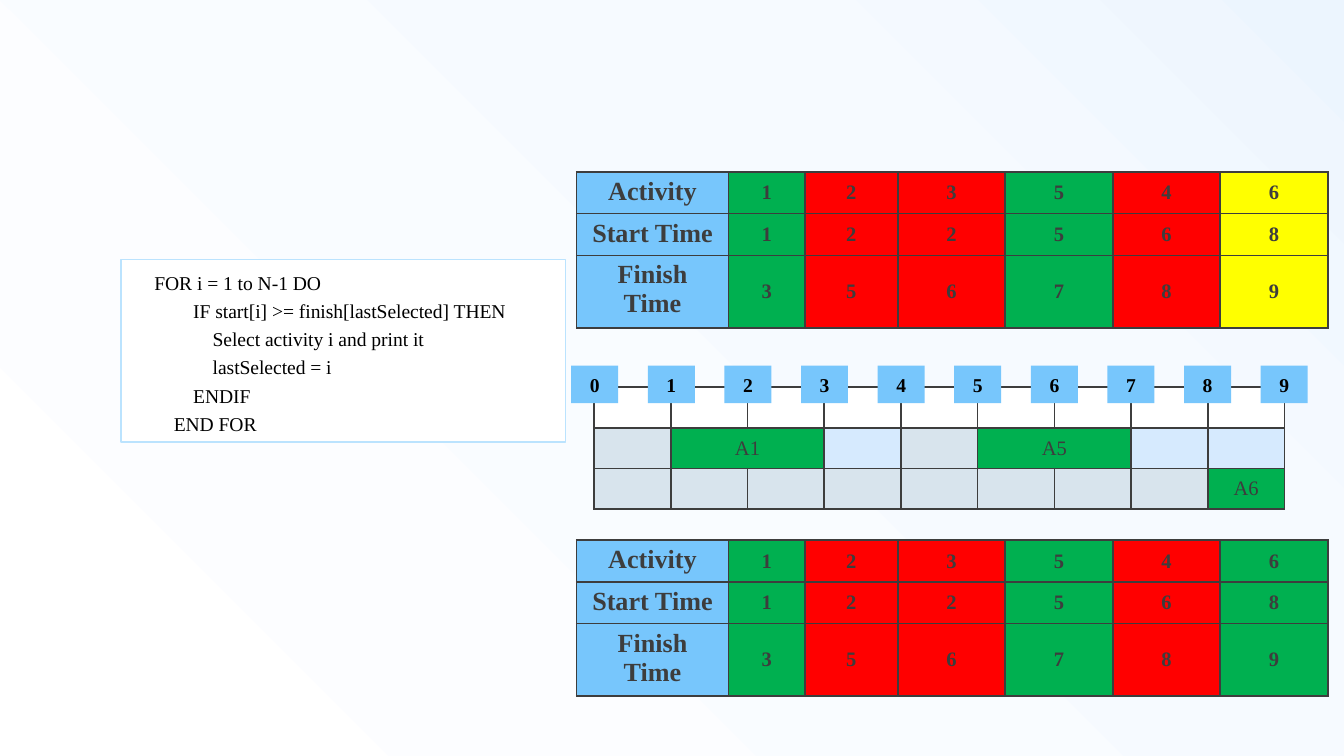
from lxml import etree
from pptx import Presentation
from pptx.dml.color import RGBColor
from pptx.enum import shapes, text
from pptx.oxml import parse_xml
from pptx.oxml.ns import nsdecls, qn
from pptx.util import Emu, Inches, Pt

INK = {"sky": "77C6FC", "green": "00B050", "red": "FF0000", "yellow": "FFFF00",
       "white": "FFFFFF", "black": "000000", "dark": "3D3D3D", "edge": "BBE3FE",
       "grey": "D8E4ED", "pale": "D6EAFE", "glow": "ECF5FE", "mist": "F6FAFF"}
FACE = "Times New Roman"
UNIT = Inches(0.1)  # the slide is a grid of 100 columns by 56.25 rows
COLS, ROWS = 100, 56.25

CODE = """FOR i = 1 to N-1 DO
        IF start[i] >= finish[lastSelected] THEN
            Select activity i and print it
            lastSelected = i
        ENDIF
    END FOR"""
JOBS = [["Activity", 1, 2, 3, 5, 4, 6],
        ["Start Time", 1, 2, 2, 5, 6, 8],
        ["Finish Time", 3, 5, 6, 7, 8, 9]]
SPANS = {(1, 1): ("A1", 2), (1, 5): ("A5", 2), (2, 8): ("A6", 1)}  # name, width
SLOTS = [["white"] * 9,
         ["grey"] * 3 + ["pale"] + ["grey"] * 3 + ["pale"] * 2,
         ["grey"] * 9]


def grid(*sizes):
    return [Emu(round(size * UNIT)) for size in sizes]


def tint(name):
    return RGBColor.from_string(INK[name])


def style(para, size, ink, bold=False):
    font = para.font
    font.name, font.size, font.bold = FACE, Pt(size), bold
    font.color.rgb = tint(ink)


def backdrop(slide):
    stops = "".join(f'<a:gs pos="{pos}000"><a:srgbClr val="{INK[name]}"/></a:gs>'
                    for pos, name in [(0, "glow"), (29, "mist"), (99, "white")])
    slide.background.fill.solid()
    props = slide.element.find(".//" + qn("p:bgPr"))
    props.replace(props[0], parse_xml(
        f'<a:gradFill {nsdecls("a")}><a:gsLst>{stops}</a:gsLst><a:path path="circle">'
        '<a:fillToRect l="100000" b="100000"/></a:path></a:gradFill>'))


def panel(slide, box, fill, line=None):
    shape = slide.shapes.add_shape(shapes.MSO_SHAPE.RECTANGLE, *grid(*box))
    shape.shadow.inherit = False
    shape.fill.solid()
    shape.fill.fore_color.rgb = tint(fill)
    if line:
        shape.line.color.rgb = tint(line)
        shape.line.width = Pt(0.75)
    else:
        shape.line.fill.background()
    shape.text_frame.word_wrap = True
    shape.text_frame.vertical_anchor = text.MSO_ANCHOR.MIDDLE
    return shape.text_frame


def table(slide, box, wides, highs):
    frame = slide.shapes.add_table(len(highs), len(wides), *grid(*box))
    made = frame.table
    made.first_row = made.horz_banding = False
    for part, size in zip(made.columns, wides):
        part.width, = grid(size)
    for part, size in zip(made.rows, highs):
        part.height, = grid(size)
    return made


def paint(cell, fill, word="", size=11, bold=False):
    cell.margin_left = cell.margin_right = Inches(0.07)
    cell.margin_top = cell.margin_bottom = Inches(0.04)
    cell.vertical_anchor = text.MSO_ANCHOR.MIDDLE
    # Borders come before the fill in the cell properties
    props = cell._tc.get_or_add_tcPr()
    for side in ("lnL", "lnR", "lnT", "lnB"):
        line = etree.SubElement(props, qn("a:" + side), w=str(Pt(1)))
        solid = etree.SubElement(line, qn("a:solidFill"))
        etree.SubElement(solid, qn("a:srgbClr"), val=INK["dark"])
    cell.fill.solid()
    cell.fill.fore_color.rgb = tint(fill)
    if word:
        cell.text = str(word)
    para = cell.text_frame.paragraphs[0]
    para.alignment = text.PP_ALIGN.CENTER
    style(para, size, "dark", bold)
    if not word:  # an empty cell takes its height from the end mark
        etree.SubElement(para._p, qn("a:endParaRPr"), sz=str(size * 100))


def code(slide, box):
    frame = panel(slide, box, "white", "edge")
    for n, line in enumerate(CODE.split("\n")):
        para = frame.add_paragraph() if n else frame.paragraphs[0]
        para.add_run().text = line
        para.alignment = text.PP_ALIGN.LEFT
        para.line_spacing = 1.2
        props = para._p.get_or_add_pPr()
        props.set("marL", str(Inches(0.15)))
        props.set("indent", "0")
        style(para, 10.5, "black")


def jobs(slide, box, last):
    made = table(slide, box, [11.3, 5.7, 6.9] + [8] * 4, [3.1, 3.1, 5.4])
    fills = ["sky", "green", "red", "red", "green", "red", last]
    for r, row in enumerate(JOBS):
        for c, word in enumerate(row):
            cell = made.cell(r, c)
            paint(cell, fills[c], word, 11 if c else 14, True)
            if not c:
                cell.vertical_anchor = text.MSO_ANCHOR.TOP


def times(slide, box):
    left, top, wide, high = box
    made = table(slide, box, [wide / 9] * 9, [high / 3] * 3)
    # Idle slots and the chosen activities
    for r, row in enumerate(SLOTS):
        for c, idle in enumerate(row):
            cell = made.cell(r, c)
            name, span = SPANS.get((r, c), ("", 1))
            paint(cell, "green" if name else idle, name)
            if span > 1:
                cell.merge(made.cell(r, c + span - 1))
    # Hour marks over the column edges
    for n in range(10):
        frame = panel(slide, (left - 1.7 + n * 5.7, top - 1.6, 3.5, 2.8), "sky")
        frame.text = str(n)
        para = frame.paragraphs[0]
        para.alignment = text.PP_ALIGN.CENTER
        style(para, 10.5, "black", True)


def main():
    deck = Presentation()
    deck.slide_width, deck.slide_height = grid(COLS, ROWS)
    slide = deck.slides.add_slide(deck.slide_layouts[6])
    backdrop(slide)
    code(slide, (9, 19.3, 33.1, 13.6))
    jobs(slide, (42.9, 12.8, 55.9, 11.6), "yellow")
    times(slide, (44.2, 28.8, 51.4, 9.1))
    jobs(slide, (42.9, 40.2, 55.9, 11.6), "green")
    deck.save("out.pptx")


if __name__ == "__main__":
    main()
